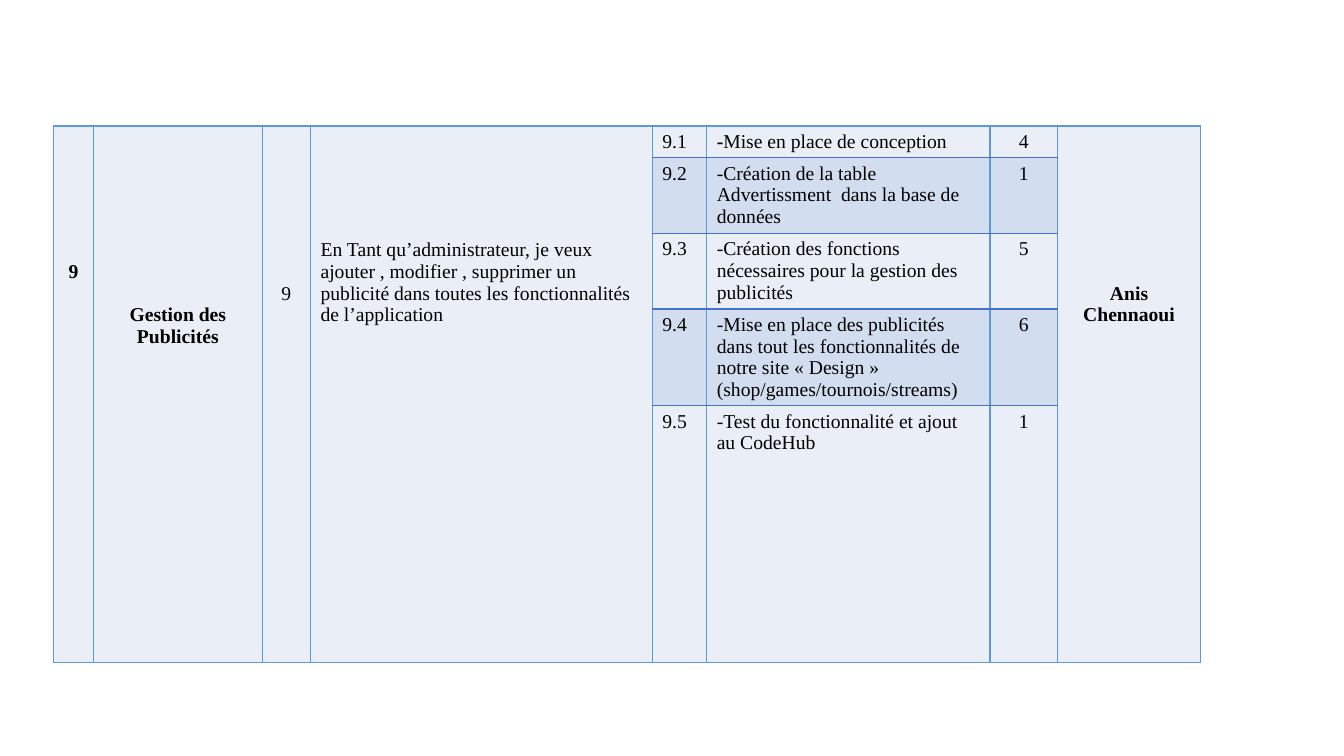
from lxml import etree
from pptx import Presentation
from pptx.dml.color import RGBColor
from pptx.enum import text
from pptx.oxml import ns
from pptx.util import Inches, Pt

FONT = "Times New Roman"
FONT_SIZE = 14
LINE_HEIGHT = 0.215
CELL_MARGIN = 0.05
EDGE, ROW_RULE = "5B9BD5", "4472C4"
BANDS = ["EAEFF7", "D2DEEF"]
LEFT, CENTER = text.PP_ALIGN.LEFT, text.PP_ALIGN.CENTER

COLUMN_WIDTHS = [0.4, 1.67, 0.48, 3.39, 0.54, 2.81, 0.67, 1.42]
ROW_HEIGHTS = [0.31, 0.75, 0.75, 0.96, 2.55]

STORY_CELLS = [
    (0, "9", 6, True, CENTER),
    (1, "Gestion des Publicités", 8, True, CENTER),
    (2, "9", 7, False, CENTER),
    (3, "En Tant qu’administrateur, je veux ajouter , modifier , supprimer un "
        "publicité dans toutes les fonctionnalités de l’application", 5, False, LEFT),
    (7, "Anis Chennaoui", 7, True, CENTER),
]
TASKS = [
    ("9.1", "Mise en place de conception", "4"),
    ("9.2", "Création de la table Advertissment  dans la base de données", "1"),
    ("9.3", "Création des fonctions nécessaires pour la gestion des publicités", "5"),
    ("9.4", "Mise en place des publicités dans tout les fonctionnalités de notre site "
            "« Design » (shop/games/tournois/streams)", "6"),
    ("9.5", "Test du fonctionnalité et ajout au CodeHub", "1"),
]


def color(value):
    return RGBColor.from_string(value)


def write(cell, spans, align=LEFT, lines_above=0):
    cell.margin_top = Inches(CELL_MARGIN + lines_above * LINE_HEIGHT)
    para = cell.text_frame.paragraphs[0]
    para.alignment = align
    para.font.name = FONT
    para.font.size = Pt(FONT_SIZE)
    para.font.color.rgb = color("000000")
    for words, bold in spans:
        span = para.add_run()
        span.text = words
        span.font.name = FONT
        span.font.size = Pt(FONT_SIZE)
        span.font.bold = bold
        span.font.color.rgb = color("000000")


def set_borders(cell, top, bottom):
    properties = cell._tc.get_or_add_tcPr()
    for side, value in (("L", EDGE), ("R", EDGE), ("T", top), ("B", bottom)):
        line = etree.SubElement(properties, ns.qn(f"a:ln{side}"), w=str(Pt(1)))
        fill = etree.SubElement(line, ns.qn("a:solidFill"))
        etree.SubElement(fill, ns.qn("a:srgbClr"), val=value)


def add_backlog_table(page):
    rows, columns = len(ROW_HEIGHTS), len(COLUMN_WIDTHS)
    frame = page.shapes.add_table(
        rows, columns, Inches(0.53), Inches(1.25),
        Inches(sum(COLUMN_WIDTHS)), Inches(sum(ROW_HEIGHTS)))
    table = frame.table
    table.first_row = False
    table.horz_banding = False
    for column, width in zip(table.columns, COLUMN_WIDTHS):
        column.width = Inches(width)
    for row, height in zip(table.rows, ROW_HEIGHTS):
        row.height = Inches(height)
    return table


def style_cells(table):
    story_columns = {story[0] for story in STORY_CELLS}
    last = len(ROW_HEIGHTS) - 1
    for row in range(len(ROW_HEIGHTS)):
        for column in range(len(COLUMN_WIDTHS)):
            cell = table.cell(row, column)
            is_story = column in story_columns
            set_borders(cell,
                        EDGE if is_story or row == 0 else ROW_RULE,
                        EDGE if is_story or row == last else ROW_RULE)
            cell.fill.solid()
            cell.fill.fore_color.rgb = color(BANDS[0 if is_story else row % 2])


def fill_stories(table):
    last = len(ROW_HEIGHTS) - 1
    for column, words, lines_above, bold, align in STORY_CELLS:
        cell = table.cell(0, column)
        cell.merge(table.cell(last, column))
        write(cell, [(words, bold)], align, lines_above)


def fill_tasks(table):
    for row, (number, task, effort) in enumerate(TASKS):
        write(table.cell(row, 4), [(number, False)])
        write(table.cell(row, 5), [("-", row == 0), (task, False)])
        write(table.cell(row, 6), [(effort, False)], CENTER)


def main():
    deck = Presentation()
    deck.slide_width = Inches(13.33)
    deck.slide_height = Inches(7.5)
    page = deck.slides.add_slide(deck.slide_layouts[6])
    table = add_backlog_table(page)
    style_cells(table)
    fill_stories(table)
    fill_tasks(table)
    deck.save("out.pptx")


if __name__ == "__main__":
    main()
